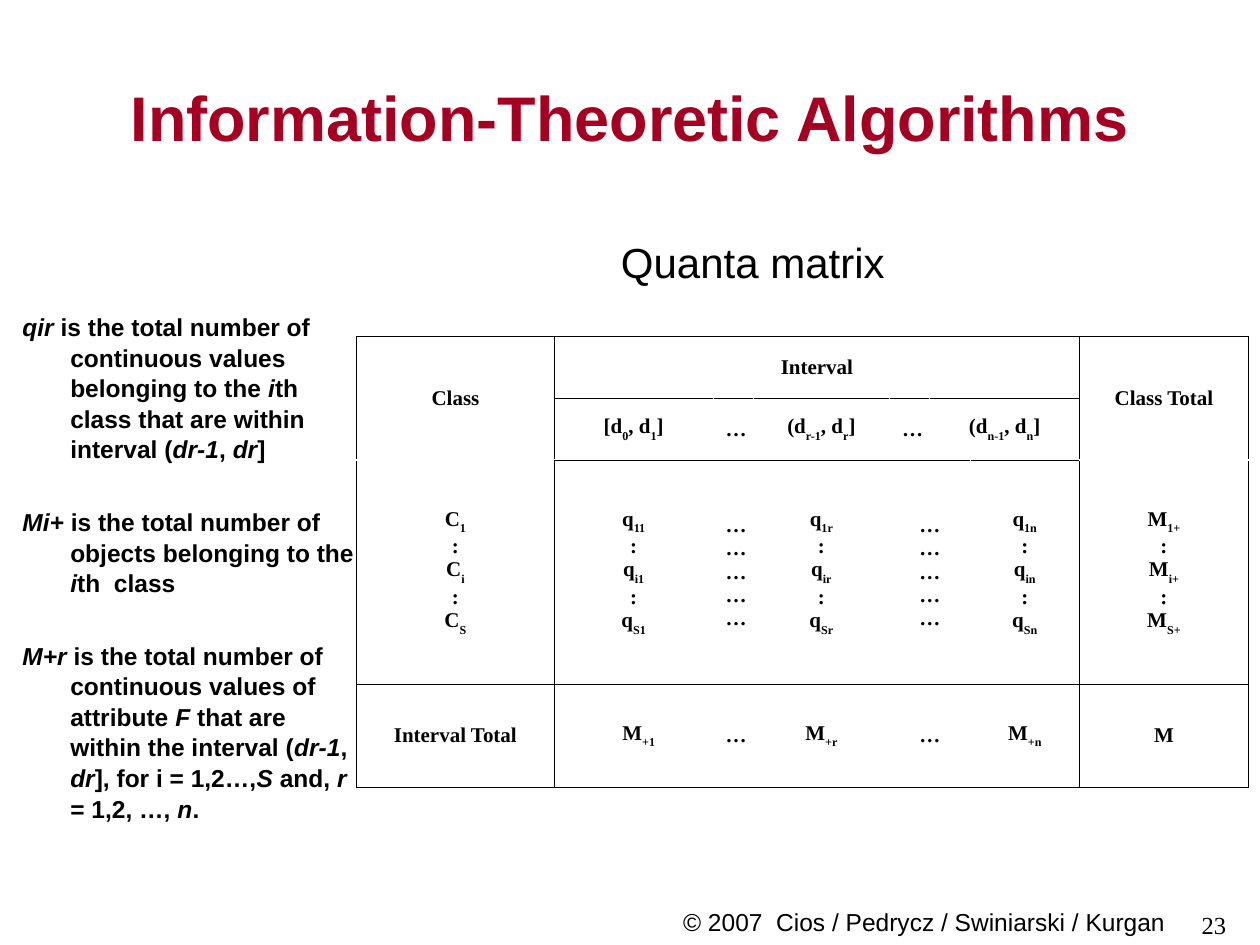
from dataclasses import dataclass
from itertools import product

from lxml.etree import SubElement
from pptx import Presentation
from pptx.dml.color import RGBColor
from pptx.enum.text import MSO_ANCHOR, PP_ALIGN
from pptx.oxml.ns import qn
from pptx.util import Inches, Pt


@dataclass(frozen=True)
class Theme:
    sans: str = "Arial"
    serif: str = "Times New Roman"
    ink: str = "000000"
    paper: str = "FFFFFF"
    accent: str = "A50021"
    title_size: float = 36
    caption_size: float = 24
    body_size: float = 14
    table_size: float = 12
    border_width: float = 0.45


THEME = Theme()

# In marked text, every second piece between bars is italic or subscript.
NOTES = [
    "|qir| is the total number of continuous values belonging to the |i|th class "
    "that are within interval (|dr-1|, |dr|]",
    "|Mi+| is the total number of objects belonging to the |i|th  class",
    "|M+r| is the total number of continuous values of attribute |F| that are within "
    "the interval (|dr-1|, |dr|], for i = 1,2…,|S| and, |r| = 1,2, …, |n|.",
]

COLUMN_WIDTHS = [1.57, 1.26, 0.32, 1.08, 0.32, 0.32, 0.87, 1.34]
ROW_HEIGHTS = [0.49, 0.49, 1.78, 0.82]
RULED_COLUMN_EDGES = {0, 1, 7, 8}
DOTS = ["…"] * 5


def entries(symbol, suffix):
    """Stack the first, i-th and last entries of a matrix column."""
    first, middle, last = (f"{symbol}|{index}{suffix}" for index in "1iS")
    return [first, ":", middle, ":", last]


# Row, column, rows spanned, columns spanned, lines of text
BLOCKS = [
    (0, 0, 2, 1, ["Class"]),
    (0, 1, 1, 6, ["Interval"]),
    (0, 7, 2, 1, ["Class Total"]),
    (1, 1, 1, 1, ["[d|0|, d|1|]"]),
    (1, 2, 1, 1, ["…"]),
    (1, 3, 1, 1, ["(d|r-1|, d|r|]"]),
    (1, 4, 1, 1, ["…"]),
    (1, 5, 1, 2, ["(d|n-1|, d|n|]"]),
    (2, 0, 1, 1, entries("C", "")),
    (2, 1, 1, 1, entries("q", "1")),
    (2, 2, 1, 1, DOTS),
    (2, 3, 1, 1, entries("q", "r")),
    (2, 4, 1, 2, DOTS),
    (2, 6, 1, 1, entries("q", "n")),
    (2, 7, 1, 1, entries("M", "+")),
    (3, 0, 1, 1, ["Interval Total"]),
    (3, 1, 1, 1, ["M|+1"]),
    (3, 2, 1, 1, ["…"]),
    (3, 3, 1, 1, ["M|+r"]),
    (3, 4, 1, 2, ["…"]),
    (3, 6, 1, 1, ["M|+n"]),
    (3, 7, 1, 1, ["M"]),
]


def style_paragraph(paragraph, size, name=THEME.sans, color=THEME.ink, bold=False):
    font = paragraph.font
    font.size, font.name, font.bold = Pt(size), name, bold
    font.color.rgb = RGBColor.from_string(color)


def set_italic(run):
    run.font.italic = True


def set_subscript(run):
    run._r.get_or_add_rPr().set("baseline", "-30000")


def add_marked_runs(paragraph, text, mark):
    for position, piece in enumerate(text.split("|")):
        if piece:
            run = paragraph.add_run()
            run.text = piece
            if position % 2:
                mark(run)


def add_frame(slide, box):
    frame = slide.shapes.add_textbox(*map(Inches, box)).text_frame
    frame.word_wrap = True
    return frame


def add_line(slide, box, text, size, align=PP_ALIGN.LEFT, **style):
    frame = add_frame(slide, box)
    paragraph = frame.paragraphs[0]
    paragraph.text = text
    paragraph.alignment = align
    style_paragraph(paragraph, size, **style)
    return frame


def add_title(slide, box):
    frame = add_line(slide, box, "Information-Theoretic Algorithms", THEME.title_size,
                     PP_ALIGN.CENTER, color=THEME.accent, bold=True)
    frame.vertical_anchor = MSO_ANCHOR.MIDDLE


def add_notes(slide, box):
    frame = add_frame(slide, box)
    for position, note in enumerate(NOTES):
        paragraph = frame.add_paragraph() if position else frame.paragraphs[0]
        add_marked_runs(paragraph, note, set_italic)
        paragraph.line_spacing = 1.04
        if position:
            paragraph.space_before = Pt(24)
        properties = paragraph._p.get_or_add_pPr()
        properties.set("marL", str(Inches(0.38)))
        properties.set("indent", str(-Inches(0.38)))
        style_paragraph(paragraph, THEME.body_size, bold=True)


def add_border(cell, side, color):
    line = SubElement(cell._tc.get_or_add_tcPr(), qn(f"a:ln{side}"),
                      w=str(Pt(THEME.border_width)))
    fill = SubElement(line, qn("a:solidFill"))
    SubElement(fill, qn("a:srgbClr"), val=color)


def edge_color(column_edge):
    return THEME.ink if column_edge in RULED_COLUMN_EDGES else THEME.paper


def add_block(table, row, column, height, width, lines):
    """Fill one cell or merged block and rule its outer edges."""
    bottom, right = row + height, column + width
    origin = table.cell(row, column)
    if height * width > 1:
        origin.merge(table.cell(bottom - 1, right - 1))
    for r, c in product(range(row, bottom), range(column, right)):
        cell = table.cell(r, c)
        if c == column:
            add_border(cell, "L", edge_color(column))
        if c == right - 1:
            add_border(cell, "R", edge_color(right))
        if r == row:
            add_border(cell, "T", THEME.ink)
        if r == bottom - 1:
            add_border(cell, "B", THEME.ink)
        cell.fill.solid()
        cell.fill.fore_color.rgb = RGBColor.from_string(THEME.paper)
    origin.vertical_anchor = MSO_ANCHOR.MIDDLE
    frame = origin.text_frame
    for position, text in enumerate(lines):
        paragraph = frame.add_paragraph() if position else frame.paragraphs[0]
        paragraph.alignment = PP_ALIGN.CENTER
        add_marked_runs(paragraph, text, set_subscript)
        style_paragraph(paragraph, THEME.table_size, name=THEME.serif, bold=True)


def add_quanta_matrix(slide, box):
    table = slide.shapes.add_table(len(ROW_HEIGHTS), len(COLUMN_WIDTHS),
                                   *map(Inches, box)).table
    table.first_row = table.horz_banding = False
    for column, width in zip(table.columns, COLUMN_WIDTHS):
        column.width = Inches(width)
    for row, height in zip(table.rows, ROW_HEIGHTS):
        row.height = Inches(height)
    for block in BLOCKS:
        add_block(table, *block)
    # Shift the first interval total to the right
    table.cell(3, 1).margin_left = Inches(0.18)


def add_footer(slide, credit_box, number_box):
    frame = add_line(slide, credit_box, "© 2007  Cios / Pedrycz / Swiniarski / Kurgan",
                     THEME.body_size, PP_ALIGN.RIGHT)
    frame.margin_top, frame.margin_right = Inches(0.28), Inches(0.33)
    add_line(slide, number_box, "23", THEME.body_size, PP_ALIGN.RIGHT, name=THEME.serif)


def main():
    presentation = Presentation()
    presentation.slide_width, presentation.slide_height = Inches(10), Inches(7.5)
    slide = presentation.slides.add_slide(presentation.slide_layouts[6])
    add_footer(slide, (3.5, 6.92, 6.08, 0.52), (7.5, 7.17, 2.33, 0.52))
    add_title(slide, (0.5, 0.3, 9, 1.25))
    add_notes(slide, (0.08, 2.42, 2.83, 4.7))
    add_quanta_matrix(slide, (2.83, 2.67, 7.08, 3.58))
    add_line(slide, (4.83, 1.83, 2.85, 0.5), "Quanta matrix", THEME.caption_size)
    presentation.save("out.pptx")


if __name__ == "__main__":
    main()
